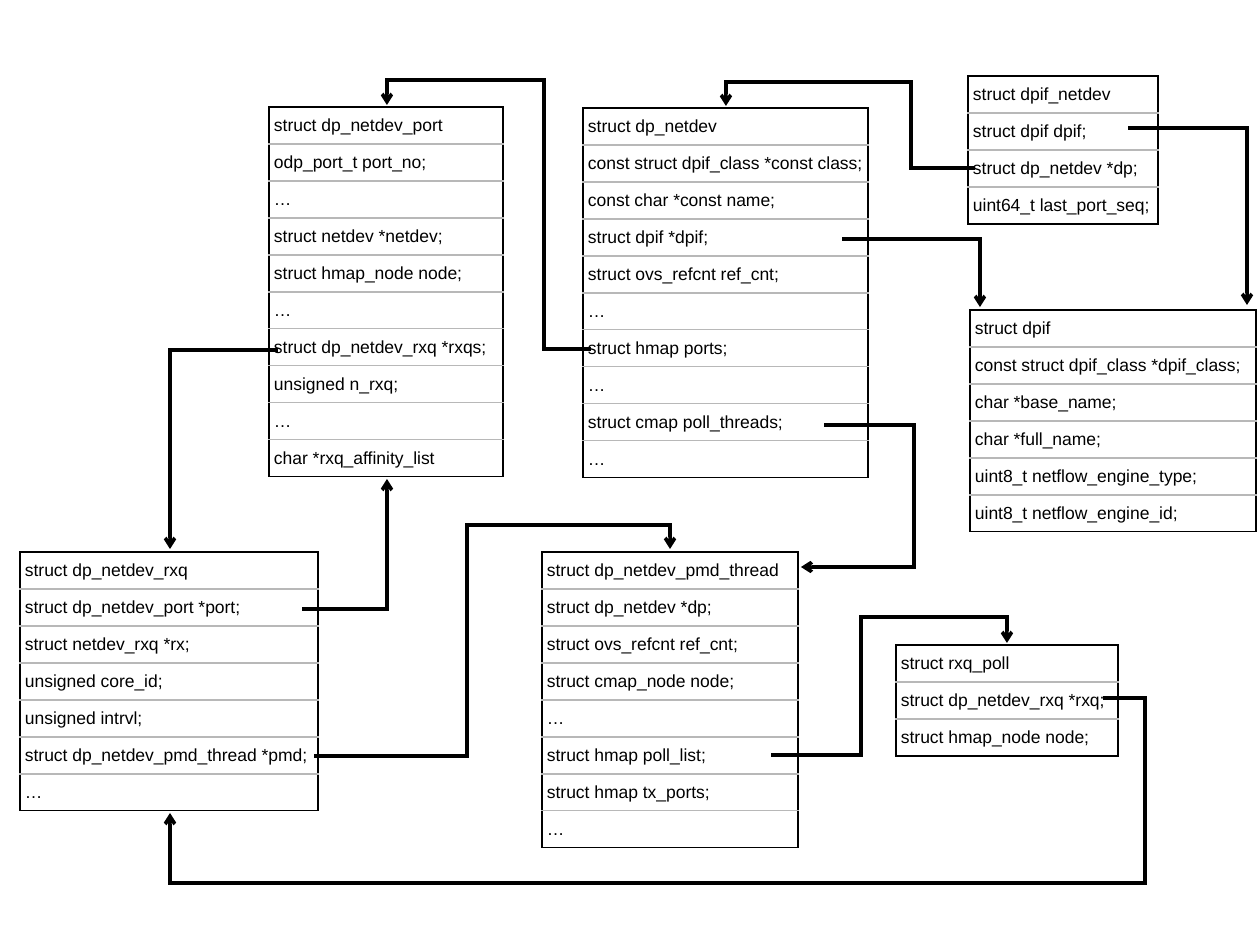
from dataclasses import dataclass

from lxml import etree
from pptx import Presentation
from pptx import util as u
from pptx.dml.color import RGBColor
from pptx.enum import text
from pptx.oxml import ns

PX = u.Inches(1) / 126
SLIDE_SIZE = 1260, 945
ROW_HEIGHT = 37
CELL_MARGIN = 5


@dataclass(frozen=True)
class Theme:
    font: str = "Arial"
    size: int = 10
    ink: str = "000000"
    rule: str = "B8B8B8"
    border_width: int = 1
    arrow_width: int = 2


THEME = Theme()

# left, top, width, rows (the first row names the struct)
STRUCTS = [
    (583, 108, 285, ["struct dp_netdev", "const struct dpif_class *const class;",
                     "const char *const name;", "struct dpif *dpif;",
                     "struct ovs_refcnt ref_cnt;", "…", "struct hmap ports;", "…",
                     "struct cmap poll_threads;", "…"]),
    (968, 76, 190, ["struct dpif_netdev", "struct dpif dpif;",
                    "struct dp_netdev *dp;", "uint64_t last_port_seq;"]),
    (970, 310, 286, ["struct dpif", "const struct dpif_class *dpif_class;",
                     "char *base_name;", "char *full_name;",
                     "uint8_t netflow_engine_type;", "uint8_t netflow_engine_id;"]),
    (269, 107, 234, ["struct dp_netdev_port", "odp_port_t port_no;", "…",
                     "struct netdev *netdev;", "struct hmap_node node;", "…",
                     "struct dp_netdev_rxq *rxqs;", "unsigned n_rxq;", "…",
                     "char *rxq_affinity_list"]),
    (20, 552, 298, ["struct dp_netdev_rxq", "struct dp_netdev_port *port;",
                    "struct netdev_rxq *rx;", "unsigned core_id;", "unsigned intrvl;",
                    "struct dp_netdev_pmd_thread *pmd;", "…"]),
    (542, 552, 256, ["struct dp_netdev_pmd_thread", "struct dp_netdev *dp;",
                     "struct ovs_refcnt ref_cnt;", "struct cmap_node node;", "…",
                     "struct hmap poll_list;", "struct hmap tx_ports;", "…"]),
    (896, 645, 222, ["struct rxq_poll", "struct dp_netdev_rxq *rxq;",
                     "struct hmap_node node;"]),
]

# Each pointer runs from its arrowhead back to the field that holds it.
POINTERS = [
    [(980, 307), (980, 239), (842, 239)],
    [(387, 105), (387, 80), (544, 80), (544, 349), (591, 349)],
    [(1247, 305), (1247, 128), (1128, 128)],
    [(726, 106), (726, 82), (911, 82), (911, 168), (975, 168)],
    [(170, 549), (170, 350), (278, 350)],
    [(387, 479), (387, 609), (302, 609)],
    [(670, 549), (670, 525), (467, 525), (467, 756), (314, 756)],
    [(801, 567), (914, 567), (914, 425), (824, 425)],
    [(1007, 643), (1007, 617), (861, 617), (861, 755), (771, 755)],
    [(170, 813), (170, 883), (1145, 883), (1145, 698), (1103, 698)],
]


def px(length):
    return u.Emu(round(length * PX))


def add_border(cell, side, color):
    line = etree.SubElement(cell._tc.get_or_add_tcPr(), ns.qn(f"a:ln{side}"),
                            w=str(u.Pt(THEME.border_width)))
    fill = etree.SubElement(line, ns.qn("a:solidFill"))
    etree.SubElement(fill, ns.qn("a:srgbClr"), val=color)


def add_struct(slide, left, top, width, fields):
    frame = slide.shapes.add_table(len(fields), 1, px(left), px(top), px(width),
                                   px(ROW_HEIGHT * len(fields)))
    table = frame.table
    table.first_row = table.horz_banding = False
    last = len(fields) - 1
    for index, field in enumerate(fields):
        table.rows[index].height = px(ROW_HEIGHT)
        cell = table.cell(index, 0)
        cell.margin_left = cell.margin_right = px(CELL_MARGIN)
        cell.margin_top = cell.margin_bottom = px(CELL_MARGIN)
        cell.vertical_anchor = text.MSO_ANCHOR.MIDDLE
        add_border(cell, "L", THEME.ink)
        add_border(cell, "R", THEME.ink)
        add_border(cell, "T", THEME.ink if index == 0 else THEME.rule)
        add_border(cell, "B", THEME.ink if index == last else THEME.rule)
        cell.fill.background()
        cell.text = field
        font = cell.text_frame.paragraphs[0].font
        font.name = THEME.font
        font.size = u.Pt(THEME.size)
        font.color.rgb = RGBColor.from_string(THEME.ink)


def add_pointer(slide, points):
    builder = slide.shapes.build_freeform(*points[0], scale=PX)
    builder.add_line_segments(points[1:], close=False)
    pointer = builder.convert_to_shape()
    pointer.shadow.inherit = False
    pointer.fill.background()
    pointer.line.color.rgb = RGBColor.from_string(THEME.ink)
    pointer.line.width = u.Pt(THEME.arrow_width)
    line = pointer.line._get_or_add_ln()
    etree.SubElement(line, ns.qn("a:miter"), lim="800000")
    etree.SubElement(line, ns.qn("a:headEnd"), type="arrow")


def main():
    deck = Presentation()
    deck.slide_width, deck.slide_height = map(px, SLIDE_SIZE)
    slide = deck.slides.add_slide(deck.slide_layouts[6])
    for struct in STRUCTS:
        add_struct(slide, *struct)
    for points in POINTERS:
        add_pointer(slide, points)
    deck.save("out.pptx")


if __name__ == "__main__":
    main()
